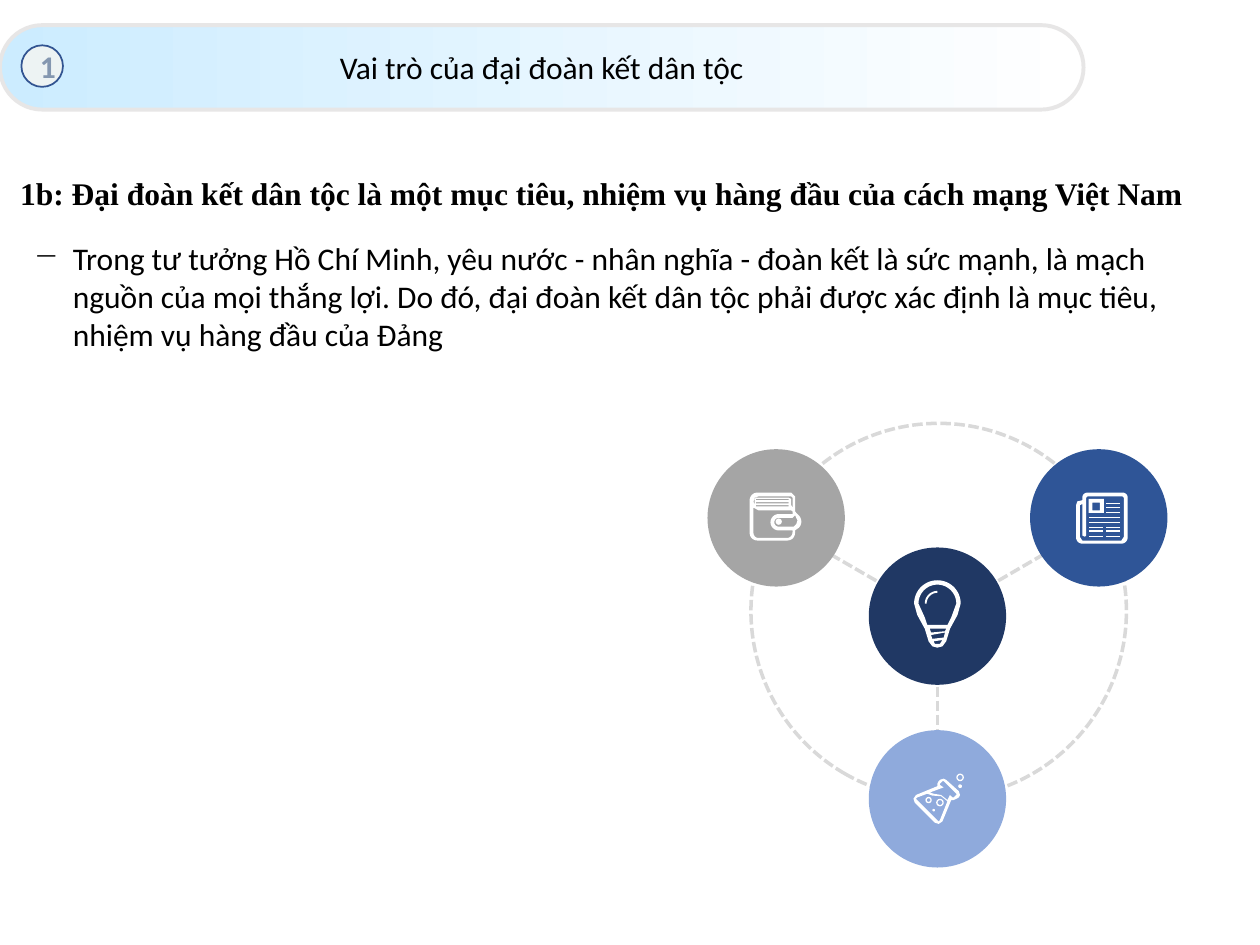
import math
from dataclasses import dataclass

import pptx
import pptx.dml.color
import pptx.enum.dml
import pptx.enum.shapes
import pptx.enum.text
import pptx.oxml
import pptx.oxml.ns
import pptx.util

Inches = pptx.util.Inches
Pt = pptx.util.Pt
SHAPE = pptx.enum.shapes.MSO_SHAPE
ALIGN = pptx.enum.text.PP_ALIGN


@dataclass(frozen=True)
class Theme:
    sans: str = "Calibri"
    serif: str = "Times New Roman"
    text_size: int = 18
    text: str = "000000"
    white: str = "FFFFFF"
    banner_start: str = "CCECFF"
    banner_line: str = "E7E6E6"
    badge_fill: str = "EDF3F3"
    badge_line: str = "325491"
    badge_text: str = "8497B0"
    dash: str = "D9D9D9"
    idea: str = "203864"
    wallet: str = "A5A5A5"
    news: str = "2F5597"
    flask: str = "8FAADC"


THEME = Theme()


def rgb(value):
    return pptx.dml.color.RGBColor.from_string(value)


def style_line(line, color, width, dashed=False):
    line.color.rgb = rgb(color)
    line.width = Pt(width)
    if dashed:
        line.dash_style = pptx.enum.dml.MSO_LINE.SQUARE_DOT


def add_shape(page, kind, left, top, width, height, fill=None):
    shape = page.shapes.add_shape(kind, Inches(left), Inches(top), Inches(width), Inches(height))
    shape.shadow.inherit = False
    shape.line.fill.background()
    if fill:
        shape.fill.solid()
        shape.fill.fore_color.rgb = rgb(fill)
    else:
        shape.fill.background()
    return shape


def add_circle(page, x, y, diameter, fill=None):
    """Add a circle around the centre (x, y)."""
    return add_shape(page, SHAPE.OVAL, x - diameter / 2, y - diameter / 2, diameter, diameter, fill)


def add_ring(page, x, y, diameter):
    style_line(add_circle(page, x, y, diameter).line, THEME.white, 0.75)


def add_spoke(page, start, end):
    line = page.shapes.add_connector(
        pptx.enum.shapes.MSO_CONNECTOR.STRAIGHT, *map(Inches, start + end))
    line._element.spPr.append(pptx.oxml.parse_xml(
        f"<a:effectLst {pptx.oxml.ns.nsdecls('a')}/>"))
    style_line(line.line, THEME.dash, 2, dashed=True)


def set_text(shape, text, font=THEME.sans, color=THEME.text, bold=False, align=ALIGN.LEFT):
    shape.text_frame.text = text
    para = shape.text_frame.paragraphs[0]
    para.alignment = align
    span = para.runs[0]
    span.font.name = font
    span.font.size = Pt(THEME.text_size)
    span.font.bold = bold
    span.font.color.rgb = rgb(color)
    return para


def add_text(page, left, top, width, height, text, **style):
    box = page.shapes.add_textbox(Inches(left), Inches(top), Inches(width), Inches(height))
    box.text_frame.word_wrap = True
    return box, set_text(box, text, **style)


def set_bullet(para, symbol, indent):
    props = para._p.get_or_add_pPr()
    props.set("marL", str(Inches(indent)))
    props.set("indent", str(-Inches(indent)))
    props.append(pptx.oxml.parse_xml(
        f'<a:buChar {pptx.oxml.ns.nsdecls("a")} char="{symbol}"/>'))


def arc(x, y, radius, start, end, steps=12):
    """Return points on an arc; degrees run clockwise from the right."""
    angles = [math.radians(start + (end - start) * i / steps) for i in range(steps + 1)]
    return [(x + radius * math.cos(a), y + radius * math.sin(a)) for a in angles]


def rectangle(left, top, right, bottom):
    return [(left, top), (right, top), (right, bottom), (left, bottom)]


def add_outline(page, *contours):
    """Add one white freeform; contours after the first cut holes."""
    contours = [[(Inches(x), Inches(y)) for x, y in contour] for contour in contours]
    builder = page.shapes.build_freeform(*contours[0][0])
    for index, contour in enumerate(contours):
        if index:
            builder.move_to(*contour[0])
        builder.add_line_segments(contour[1:], close=True)
    shape = builder.convert_to_shape()
    shape.shadow.inherit = False
    shape.fill.solid()
    shape.fill.fore_color.rgb = rgb(THEME.white)
    shape.line.fill.background()


def draw_wallet(page):
    add_circle(page, 6.18, 4.14, 0.05, THEME.white)
    outer = [*arc(6.01, 3.97, 0.06, 180, 270), (6.28, 3.91), (6.31, 3.94), (6.31, 4.06),
             *arc(6.29, 4.14, 0.07, -45, 45), (6.31, 4.21),
             *arc(6.25, 4.23, 0.06, 0, 90), *arc(6.01, 4.23, 0.06, 90, 180)]
    cover = [(6.02, 3.94), (6.28, 3.94), (6.29, 3.95), (6.29, 4.03), (6.28, 4.01), (6.28, 3.96),
             (6.26, 3.95), (6, 3.95), (5.99, 3.96), (5.99, 4.01), (5.98, 3.98), (5.99, 3.95)]
    pages = [rectangle(6, 3.96 + 0.025 * i, 6.26, 3.97 + 0.025 * i) for i in range(3)]
    body = [(5.98, 4.03), (6.02, 4.05), (6.28, 4.05), (6.29, 4.06), (6.29, 4.08),
            *arc(6.18, 4.145, 0.065, 270, 90), (6.29, 4.21),
            *arc(6.245, 4.225, 0.045, 0, 90), *arc(6.02, 4.23, 0.04, 90, 180)]
    clasp = [*arc(6.18, 4.145, 0.035, 90, 270), (6.29, 4.11), (6.31, 4.09), (6.33, 4.13),
             (6.32, 4.16), (6.3, 4.18)]
    add_outline(page, outer, cover, *pages, body, clasp)


def draw_flask(page):
    outer = [(7.51, 6.19), (7.49, 6.18), (7.46, 6.19), (7.45, 6.2), (7.44, 6.22), (7.44, 6.24),
             (7.27, 6.31), (7.25, 6.34), (7.26, 6.37), (7.42, 6.53), (7.45, 6.54), (7.48, 6.52),
             (7.55, 6.35), (7.57, 6.35), (7.59, 6.34), (7.61, 6.33), (7.62, 6.31), (7.61, 6.28)]
    liquid = [(7.46, 6.51), (7.45, 6.52), (7.44, 6.51), (7.28, 6.35), (7.27, 6.34), (7.28, 6.33),
              (7.36, 6.3), (7.4, 6.315), (7.47, 6.32), (7.52, 6.36)]
    neck = [(7.59, 6.31), (7.57, 6.33), (7.56, 6.33), (7.54, 6.31), (7.52, 6.35), (7.47, 6.31),
            (7.41, 6.3), (7.38, 6.29), (7.49, 6.25), (7.46, 6.23), (7.46, 6.22), (7.48, 6.2),
            (7.49, 6.2), (7.59, 6.3)]
    add_outline(page, outer, liquid, neck)
    for x, y, diameter in [(7.46, 6.37, 0.05), (7.62, 6.17, 0.05), (7.37, 6.35, 0.04)]:
        add_ring(page, x, y, diameter)
    add_circle(page, 7.41, 6.43, 0.02, THEME.white)
    add_circle(page, 7.62, 6.24, 0.03, THEME.white)


def draw_newspaper(page):
    outer = [*arc(8.63, 3.95, 0.04, 180, 270), *arc(8.91, 3.95, 0.04, 270, 360),
             *arc(8.9, 4.265, 0.05, 0, 90), *arc(8.59, 4.265, 0.05, 90, 180),
             (8.54, 4.01), (8.55, 3.98), (8.59, 3.97)]
    inside = [(8.92, 4.26), (8.9, 4.29), (8.59, 4.29), (8.57, 4.26), (8.57, 4.01), (8.59, 4),
              (8.59, 4.25), (8.61, 4.26), (8.62, 4.25), (8.62, 3.95), (8.63, 3.94),
              (8.91, 3.94), (8.92, 3.95)]
    add_outline(page, outer, inside)
    left, right, short, full = 8.64, 8.78, 0.11, 0.25
    text_lines = [(right, y, short) for y in (3.99, 4.02, 4.06)]
    text_lines += [(left, y, full) for y in (4.1, 4.14)]
    text_lines += [(x, y, short) for x in (left, right) for y in (4.18, 4.21, 4.25)]
    for x, y, width in text_lines:
        add_outline(page, rectangle(x, y, x + width, y + 0.01))
    add_outline(page, rectangle(8.64, 3.96, 8.76, 4.07), rectangle(8.67, 3.99, 8.73, 4.05))


def draw_bulb(page):
    x, y = 7.44, 4.79
    outer = [*arc(x, y, 0.185, 180, 360, 32), (7.6, 4.88), (7.54, 4.99), (7.51, 5.09),
             (7.48, 5.13), (x, 5.14), (7.4, 5.13), (7.37, 5.09), (7.34, 4.99), (7.28, 4.88)]
    glass = [*arc(x, y, 0.15, 180, 360, 32), (7.55, 4.9), (7.52, 4.96), (7.36, 4.96), (7.34, 4.9)]
    upper = [(7.39, 5.02), (7.38, 4.99), (7.51, 4.99), (7.5, 5.01)]
    middle = [(7.49, 5.06), (7.4, 5.07), (7.39, 5.04), (7.5, 5.02)]
    tip = [(7.41, 5.09), (7.48, 5.08), (7.46, 5.11), (7.42, 5.11)]
    add_outline(page, outer, glass, upper, middle, tip)
    add_outline(page, arc(x, y, 0.1, 180, 270) + arc(x, y, 0.085, 270, 180))


def draw_banner(page):
    banner = add_shape(page, SHAPE.ROUNDED_RECTANGLE, 0, 0.2, 8.6, 0.67)
    banner.adjustments[0] = 0.5
    banner.fill.gradient()
    banner.fill.gradient_angle = 0
    for stop, color in zip(banner.fill.gradient_stops, (THEME.banner_start, THEME.white)):
        stop.color.rgb = rgb(color)
    style_line(banner.line, THEME.banner_line, 2.25)
    banner.text_frame.word_wrap = False
    set_text(banner, "Vai trò của đại đoàn kết dân tộc", align=ALIGN.CENTER)

    badge = add_shape(page, SHAPE.OVAL, 0.17, 0.36, 0.33, 0.33, THEME.badge_fill)
    style_line(badge.line, THEME.badge_line, 1)
    set_text(badge, "1", color=THEME.badge_text, bold=True, align=ALIGN.CENTER)


def draw_diagram(page):
    hub = (7.44, 4.89)
    orbit = add_circle(page, 7.45, 4.85, 2.98)
    orbit.rotation = 300
    style_line(orbit.line, THEME.dash, 2, dashed=True)
    for end in [(7.44, 6.48), (8.97, 4), (5.9, 4)]:
        add_spoke(page, hub, end)
    nodes = [(7.44, 4.89, THEME.idea), (6.16, 4.11, THEME.wallet),
             (8.72, 4.11, THEME.news), (7.44, 6.34, THEME.flask)]
    for x, y, color in nodes:
        add_circle(page, x, y, 1.09, color)
    for draw_icon in (draw_wallet, draw_flask, draw_newspaper, draw_bulb):
        draw_icon(page)


def main():
    deck = pptx.Presentation()
    deck.slide_width, deck.slide_height = Inches(10), Inches(7.5)
    page = deck.slides.add_slide(deck.slide_layouts[6])
    draw_banner(page)
    heading, _ = add_text(
        page, 0, 1.33, 9.75, 0.4,
        "1b: Đại đoàn kết dân tộc là một mục tiêu, nhiệm vụ hàng đầu của cách mạng Việt Nam",
        font=THEME.serif, bold=True)
    heading.text_frame.margin_left = Inches(0.16)
    _, para = add_text(
        page, 0.17, 1.85, 9.17, 1.01,
        "Trong tư tưởng Hồ Chí Minh, yêu nước - nhân nghĩa - đoàn kết là sức mạnh, là mạch "
        "nguồn của mọi thắng lợi. Do đó, đại đoàn kết dân tộc phải được xác định là mục tiêu, "
        "nhiệm vụ hàng đầu của Đảng")
    set_bullet(para, "−", 0.31)
    draw_diagram(page)
    deck.save("out.pptx")


if __name__ == "__main__":
    main()
